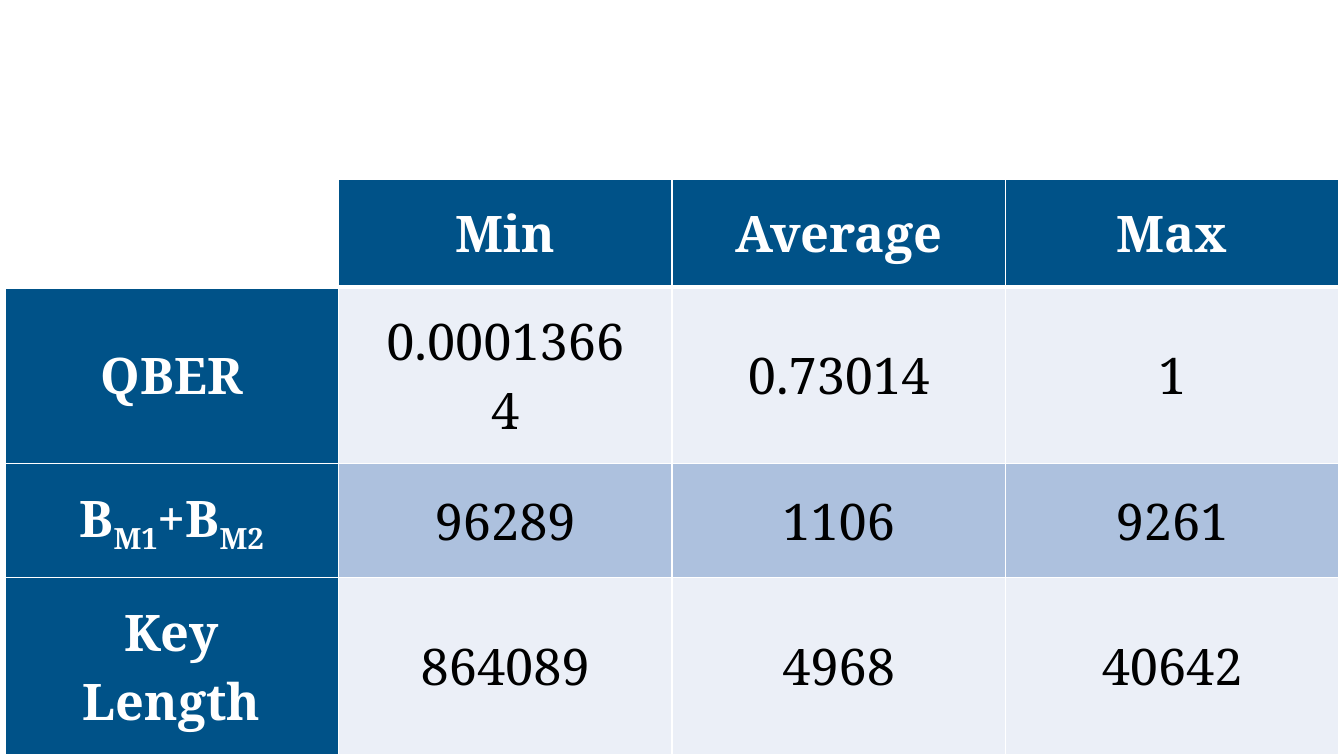
from dataclasses import dataclass

from lxml import etree
from pptx import Presentation
from pptx.dml.color import RGBColor
from pptx.enum.text import MSO_ANCHOR, PP_ALIGN
from pptx.oxml.ns import qn
from pptx.table import _Cell
from pptx.util import Pt

MIDDLE = MSO_ANCHOR.MIDDLE
CENTER = PP_ALIGN.CENTER


@dataclass(frozen=True)
class Theme:
    font: str = "Noto Serif"
    text_size: int = 36
    subscript: int = -25000
    heading: str = "005288"
    light_band: str = "EBEFF7"
    dark_band: str = "ADC1DE"
    white: str = "FFFFFF"
    black: str = "000000"


@dataclass(frozen=True)
class Measure:
    label: tuple[str, ...]
    values: tuple[str, str, str]


THEME = Theme()
LEFT, TOP = 3.6, 127.8
COLUMN_WIDTH, ROW_HEIGHT = 238.2, 67.68
SIDE_INSET, END_INSET = 28, 14
THIN, THICK = 1, 3
HEADINGS = ("Min", "Average", "Max")
MEASURES = (
    Measure(("QBER",), ("0.00013664", "0.73014", "1")),
    Measure(("B", "M1", "+B", "M2"), ("96289", "1106", "9261")),
    Measure(("Key Length",), ("864089", "4968", "40642")),
)


def draw_borders(cell: _Cell, top: float, bottom: float) -> None:
    properties = cell._tc.get_or_add_tcPr()
    for side, width in (("L", THIN), ("R", THIN), ("T", top), ("B", bottom)):
        line = etree.SubElement(properties, qn(f"a:ln{side}"), w=str(Pt(width)))
        fill = etree.SubElement(line, qn("a:solidFill"))
        etree.SubElement(fill, qn("a:srgbClr"), val=THEME.white)


def write_cell(cell: _Cell, parts: tuple[str, ...], fill: str, heading: bool) -> None:
    cell.fill.solid()
    cell.fill.fore_color.rgb = RGBColor.from_string(fill)
    cell.vertical_anchor = MIDDLE
    cell.margin_left = cell.margin_right = Pt(SIDE_INSET)
    cell.margin_top = cell.margin_bottom = Pt(END_INSET)
    paragraph = cell.text_frame.paragraphs[0]
    paragraph.alignment = CENTER
    for index, part in enumerate(parts):
        run = paragraph.add_run()
        run.text = part
        run.font.name = THEME.font
        run.font.size = Pt(THEME.text_size)
        run.font.bold = heading
        color = THEME.white if heading else THEME.black
        run.font.color.rgb = RGBColor.from_string(color)
        if index % 2:
            run._r.get_or_add_rPr().set("baseline", str(THEME.subscript))


presentation = Presentation()
presentation.slide_width = Pt(960)
presentation.slide_height = Pt(540)
slide = presentation.slides.add_slide(presentation.slide_layouts[6])

row_count, column_count = len(MEASURES) + 1, len(HEADINGS) + 1
table = slide.shapes.add_table(
    row_count, column_count, Pt(LEFT), Pt(TOP),
    Pt(COLUMN_WIDTH * column_count), Pt(ROW_HEIGHT * row_count),
).table
table.first_row = False
table.horz_banding = False
for column in table.columns:
    column.width = Pt(COLUMN_WIDTH)
for row_index, row in enumerate(table.rows):
    row.height = Pt(ROW_HEIGHT)
    for cell in row.cells:
        draw_borders(
            cell,
            THICK if row_index == 1 else THIN,
            THICK if row_index == 0 else THIN,
        )

table.cell(0, 0).fill.background()
for column_index, heading in enumerate(HEADINGS, 1):
    write_cell(table.cell(0, column_index), (heading,), THEME.heading, True)
for row_index, measure in enumerate(MEASURES, 1):
    write_cell(table.cell(row_index, 0), measure.label, THEME.heading, True)
    band = THEME.light_band if row_index % 2 else THEME.dark_band
    for column_index, value in enumerate(measure.values, 1):
        write_cell(table.cell(row_index, column_index), (value,), band, False)

presentation.save("out.pptx")
